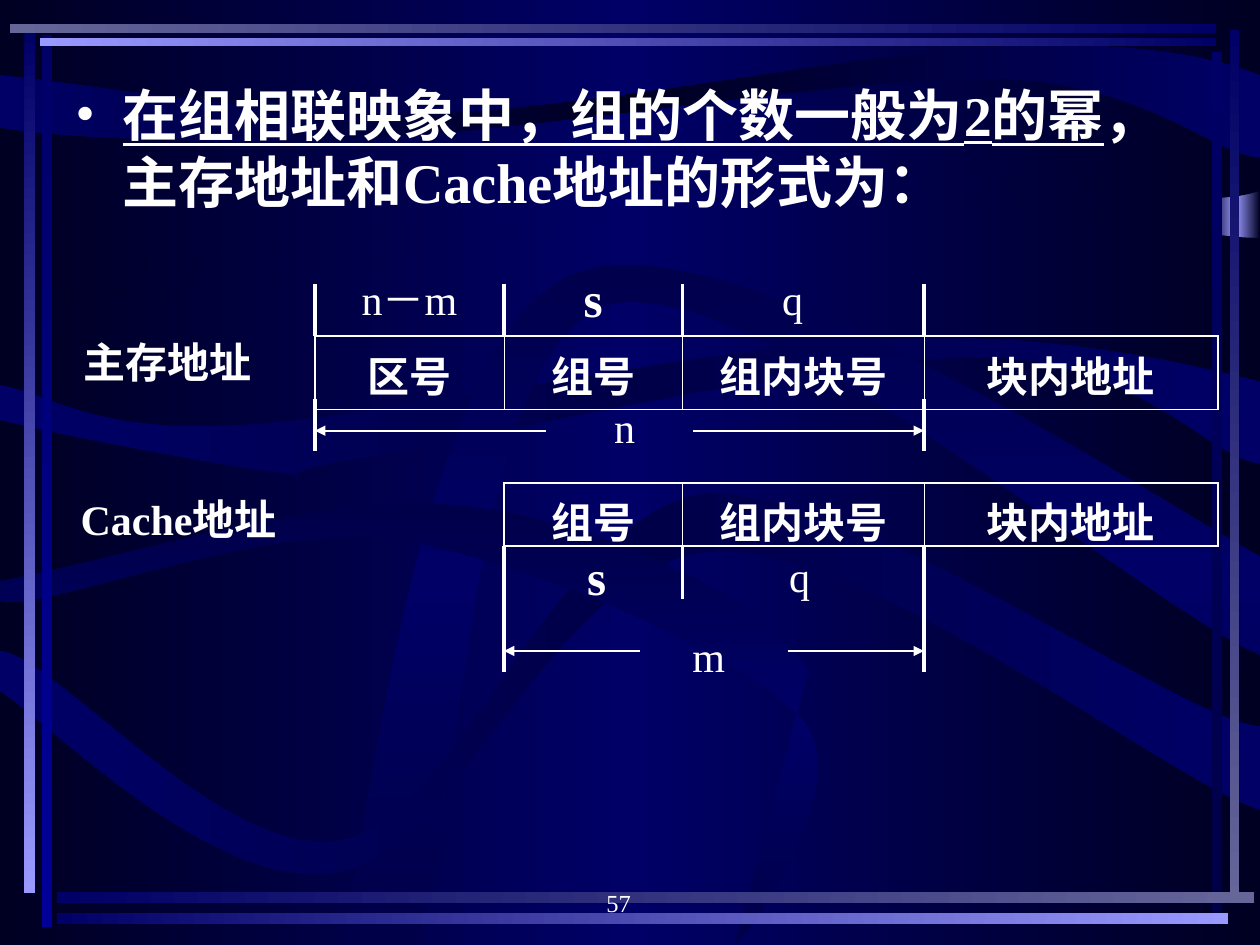
import pptx
import pptx.dml.color
import pptx.enum.shapes
import pptx.enum.text
import pptx.oxml
import pptx.oxml.ns
import pptx.util
from lxml import etree

Pt = pptx.util.Pt
qn = pptx.oxml.ns.qn
RGBColor = pptx.dml.color.RGBColor
Anchor = pptx.enum.text.MSO_ANCHOR
Align = pptx.enum.text.PP_ALIGN

WHITE = RGBColor(0xFF, 0xFF, 0xFF)
NIGHT = RGBColor(0x00, 0x00, 0x22)
DUSK = RGBColor(0x00, 0x00, 0x48)
NAVY = RGBColor(0x00, 0x00, 0x66)
BLUE = RGBColor(0x00, 0x00, 0x99)
SLATE = RGBColor(0x66, 0x66, 0x99)
LILAC = RGBColor(0x99, 0x99, 0xFF)

FONT = "Times New Roman"
ACROSS, DOWN = 0, 90
FIELD_EDGES = [180, 288, 390, 528, 696]
FIELD_NAMES = ["区号", "组号", "组内块号", "块内地址"]

RIBBONS = [
    ((NIGHT, NAVY, NIGHT), ACROSS, (0, 0), [
        (720, 0), (720, 109), (675, 125, 570, 88, 450, 95), (330, 102, 75, 168, 0, 152)]),
    ((NIGHT, NAVY, NIGHT), ACROSS, (0, 164), [
        (128, 176, 245, 140, 330, 125), (330, 125, 408, 114, 422, 112),
        (515, 91, 660, 136, 720, 136), (720, 540), (0, 540)]),
    ((NAVY, NIGHT, NAVY), ACROSS, (0, 43), [
        (0, 73), (37, 79, 127, 83, 222, 78), (317, 73, 489, 43, 572, 45),
        (655, 47, 696, 90, 720, 90), (720, 43), (695, 33, 649, 23, 570, 27),
        (491, 30, 343, 62, 248, 65), (153, 68, 52, 48, 0, 43)]),
    ((NAVY, DUSK, NAVY), ACROSS, (0, 220), [
        (0, 240), (27, 247, 126, 266, 160, 270), (194, 274, 137, 273, 203, 262),
        (270, 251, 475, 203, 562, 204), (648, 204, 693, 263, 720, 265), (720, 218),
        (684, 209, 602, 189, 505, 194), (408, 197, 221, 239, 137, 243),
        (53, 248, 29, 225, 0, 220)]),
    ((DUSK, NAVY, DUSK), DOWN, (195, 540), [
        (210, 476, 239, 194, 327, 157), (414, 120, 654, 282, 720, 318), (720, 374),
        (657, 349, 426, 148, 345, 175), (265, 203, 264, 480, 238, 540)]),
    ((NAVY, DUSK, NAVY), ACROSS, (0, 372), [
        (0, 395), (32, 416, 125, 512, 194, 498), (261, 485, 319, 321, 407, 315),
        (495, 309, 667, 446, 720, 463), (720, 415), (675, 412, 498, 282, 405, 282),
        (318, 292, 264, 465, 197, 480), (129, 495, 32, 374, 0, 372)]),
    ((DUSK, NAVY, DUSK), DOWN, (0, 332), [
        (0, 343), (19, 352, 150, 297, 226, 308), (302, 320, 426, 373, 459, 412),
        (491, 450, 419, 545, 420, 540), (462, 383), (436, 341, 341, 297, 264, 289),
        (186, 280, 55, 323, 0, 332)]),
]

FRAME_BARS = [
    (24, 20, 6, 510, (NAVY, BLUE), DOWN),
    (14, 18, 6, 492.5, (NAVY, LILAC), DOWN),
    (703, 17, 5, 499, (NAVY, SLATE), DOWN),
    (692.5, 30, 6, 492, (NAVY, DUSK), DOWN),
    (32.5, 510, 684, 6, (NAVY, SLATE), ACROSS),
    (32.5, 522, 669.5, 6, (NAVY, LILAC), ACROSS),
    (23, 21.6, 672, 4.5, (LILAC, NAVY), ACROSS),
    (5.8, 14, 689, 5, (SLATE, NAVY), ACROSS),
]


def set_gradient(fill, colours, angle):
    fill.gradient()
    fill.gradient_angle = -angle % 360
    stops = fill._fill._gradFill.find(qn("a:gsLst"))
    for stop in list(stops):
        stops.remove(stop)
    for i, colour in enumerate(colours):
        stop = etree.SubElement(stops, qn("a:gs"), pos=str(100000 * i // (len(colours) - 1)))
        etree.SubElement(stop, qn("a:srgbClr"), val=str(colour))


def finish_backdrop(shape, colours, angle):
    shape.shadow.inherit = False
    shape.line.fill.background()
    set_gradient(shape.fill, colours, angle)


def add_bar(slide, left, top, width, height, colours, angle):
    bar = slide.shapes.add_shape(pptx.enum.shapes.MSO_SHAPE.RECTANGLE,
                                 Pt(left), Pt(top), Pt(width), Pt(height))
    finish_backdrop(bar, colours, angle)


def add_ribbon(slide, colours, angle, start, segments):
    points = [(Pt(s[i]), Pt(s[i + 1])) for s in segments for i in range(0, len(s), 2)]
    builder = slide.shapes.build_freeform(Pt(start[0]), Pt(start[1]))
    builder.add_line_segments(points, close=True)
    ribbon = builder.convert_to_shape()
    steps = iter(list(ribbon._element.iter(qn("a:lnTo"))))
    for segment in segments:
        step = next(steps)
        if len(segment) == 6:
            step.addprevious(curve := etree.Element(qn("a:cubicBezTo")))
            for control in (step, next(steps), next(steps)):
                curve.append(control[0])
                control.getparent().remove(control)
    finish_backdrop(ribbon, colours, angle)


def add_line(slide, x1, y1, x2, y2, width=2.25, arrow=None):
    line = slide.shapes.add_connector(pptx.enum.shapes.MSO_CONNECTOR.STRAIGHT,
                                      Pt(x1), Pt(y1), Pt(x2), Pt(y2))
    line.line.color.rgb = WHITE
    line.line.width = Pt(width)
    if arrow:
        etree.SubElement(line.line._get_or_add_ln(), qn(arrow), type="triangle")
    etree.SubElement(line._element.spPr, qn("a:effectLst"))


def add_span(slide, left, right, y, length):
    add_line(slide, left, y, left + length, y, 1, "a:headEnd")
    add_line(slide, right - length, y, right, y, 1, "a:tailEnd")


def set_font(paragraph, size, bold=False):
    paragraph.font.name = FONT
    paragraph.font.size = Pt(size)
    paragraph.font.bold = bold
    paragraph.font.color.rgb = WHITE


def add_label(slide, text, left, top, width, height=29, size=24, bold=False):
    frame = slide.shapes.add_textbox(Pt(left), Pt(top), Pt(width), Pt(height)).text_frame
    frame.margin_left = frame.margin_right = frame.margin_top = frame.margin_bottom = 0
    frame.word_wrap = False
    frame.vertical_anchor = Anchor.MIDDLE
    paragraph = frame.paragraphs[0]
    paragraph.text = text
    paragraph.alignment = Align.CENTER
    set_font(paragraph, size, bold)


def add_statement(slide):
    frame = slide.shapes.add_textbox(Pt(36), Pt(42.4), Pt(660), Pt(438)).text_frame
    frame.word_wrap = True
    paragraph = frame.paragraphs[0]
    properties = paragraph._p.get_or_add_pPr()
    properties.set("marL", str(Pt(27)))
    properties.set("indent", str(Pt(-27)))
    etree.SubElement(properties, qn("a:buFont"), typeface=FONT)
    etree.SubElement(properties, qn("a:buChar"), char="•")
    set_font(paragraph, 32, True)
    for text, underlined in [("在组相联映象中，组的个数一般为2的幂", True),
                             ("，主存地址和Cache地址的形式为：", False)]:
        run = paragraph.add_run()
        run.text = text
        run.font.underline = underlined


def set_borders(cell, first, last):
    properties = cell._tc.get_or_add_tcPr()
    widths = [("lnL", 1.08 if first else 0.45), ("lnR", 1.08 if last else 0.45),
              ("lnT", 1.08), ("lnB", 1.08)]
    for i, (side, width) in enumerate(widths):
        properties.insert(i, pptx.oxml.parse_xml(
            f'<a:{side} {pptx.oxml.ns.nsdecls("a")} w="{Pt(width)}"><a:solidFill>'
            f'<a:srgbClr val="{WHITE}"/></a:solidFill></a:{side}>'))


def add_address(slide, names, edges, top, height, margin_top, margin_bottom):
    table = slide.shapes.add_table(1, len(names), Pt(edges[0]), Pt(top),
                                   Pt(edges[-1] - edges[0]), Pt(height)).table
    table.first_row = table.horz_banding = False
    for i, name in enumerate(names):
        table.columns[i].width = Pt(edges[i + 1] - edges[i])
        cell = table.cell(0, i)
        cell.margin_top, cell.margin_bottom = Pt(margin_top), Pt(margin_bottom)
        cell.vertical_anchor = Anchor.MIDDLE
        cell.fill.background()
        set_borders(cell, i == 0, i == len(names) - 1)
        paragraph = cell.text_frame.paragraphs[0]
        paragraph.text = name
        paragraph.alignment = Align.CENTER
        set_font(paragraph, 24, True)


def main():
    deck = pptx.Presentation()
    deck.slide_width, deck.slide_height = Pt(720), Pt(540)
    slide = deck.slides.add_slide(deck.slide_layouts[6])
    set_gradient(slide.background.fill, (NIGHT, NAVY, NIGHT), ACROSS)
    add_bar(slide, 692, 35.3, 28, 248, (NIGHT, LILAC, NIGHT), ACROSS)
    for ribbon in RIBBONS:
        add_ribbon(slide, *ribbon)
    for bar in FRAME_BARS:
        add_bar(slide, *bar)

    add_statement(slide)
    zone, group, block, offset, _ = FIELD_EDGES

    add_address(slide, FIELD_NAMES, FIELD_EDGES, 192, 42, 4.6, 8.6)
    add_label(slide, "主存地址", 42, 192, 108, bold=True)
    for x in (zone, group, block, offset):
        add_line(slide, x, 162, x, 192)
    for x in (zone, offset):
        add_line(slide, x, 228, x, 258)
    add_label(slide, "n－m", 198, 156, 72)
    add_label(slide, "s", 324, 153, 30, 34, 28, True)
    add_label(slide, "q", 438, 156, 30)
    add_span(slide, zone, offset, 246.1, 132)
    add_label(slide, "n", 342, 229.4, 30)

    add_address(slide, FIELD_NAMES[1:], FIELD_EDGES[1:], 276, 36, 4, 3)
    add_label(slide, "Cache地址", 42, 282, 120, bold=True)
    for x, bottom in ((group, 384), (block, 342), (offset, 384)):
        add_line(slide, x, 312, x, bottom)
    add_label(slide, "s", 326, 312, 30, 34, 28, True)
    add_label(slide, "q", 446, 314.5, 22)
    add_span(slide, group, offset, 372, 78)
    add_label(slide, "m", 390, 360.4, 30)

    add_label(slide, "57", 278.6, 507.5, 150, 17, 14)
    deck.save("out.pptx")


if __name__ == "__main__":
    main()
